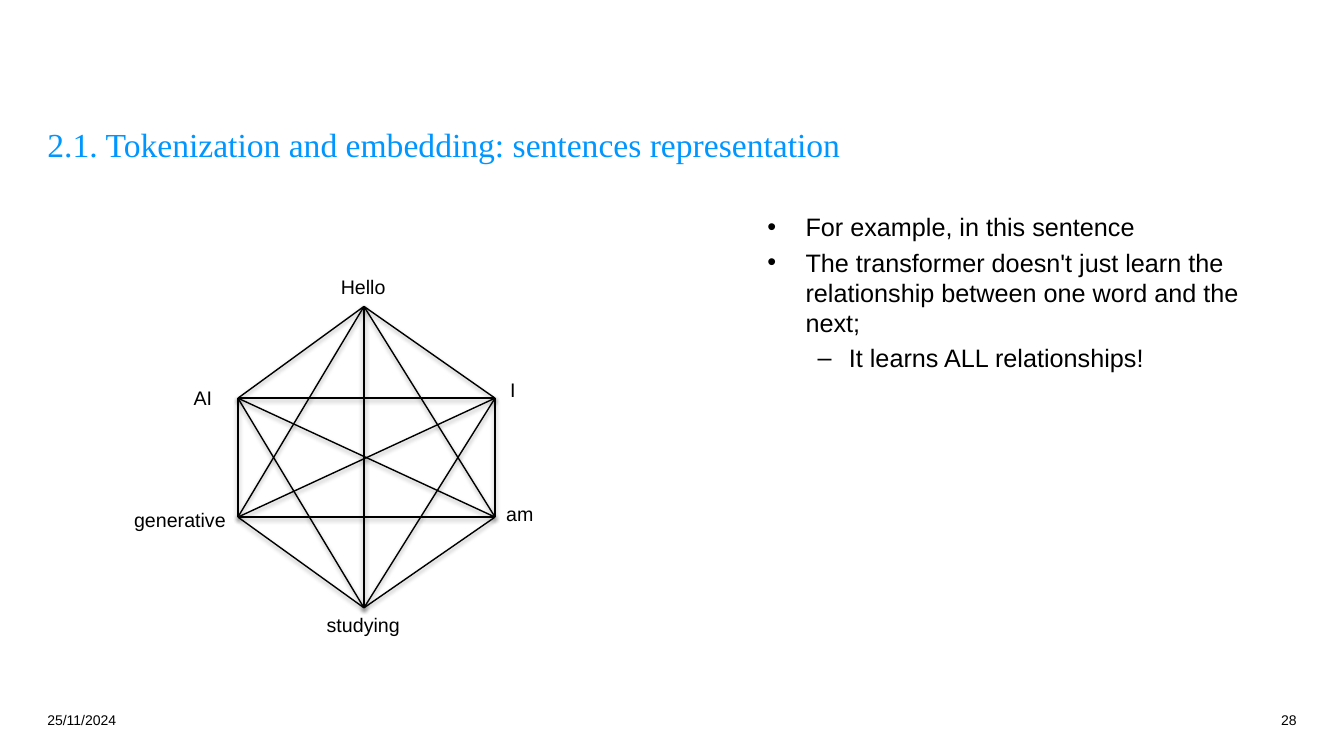
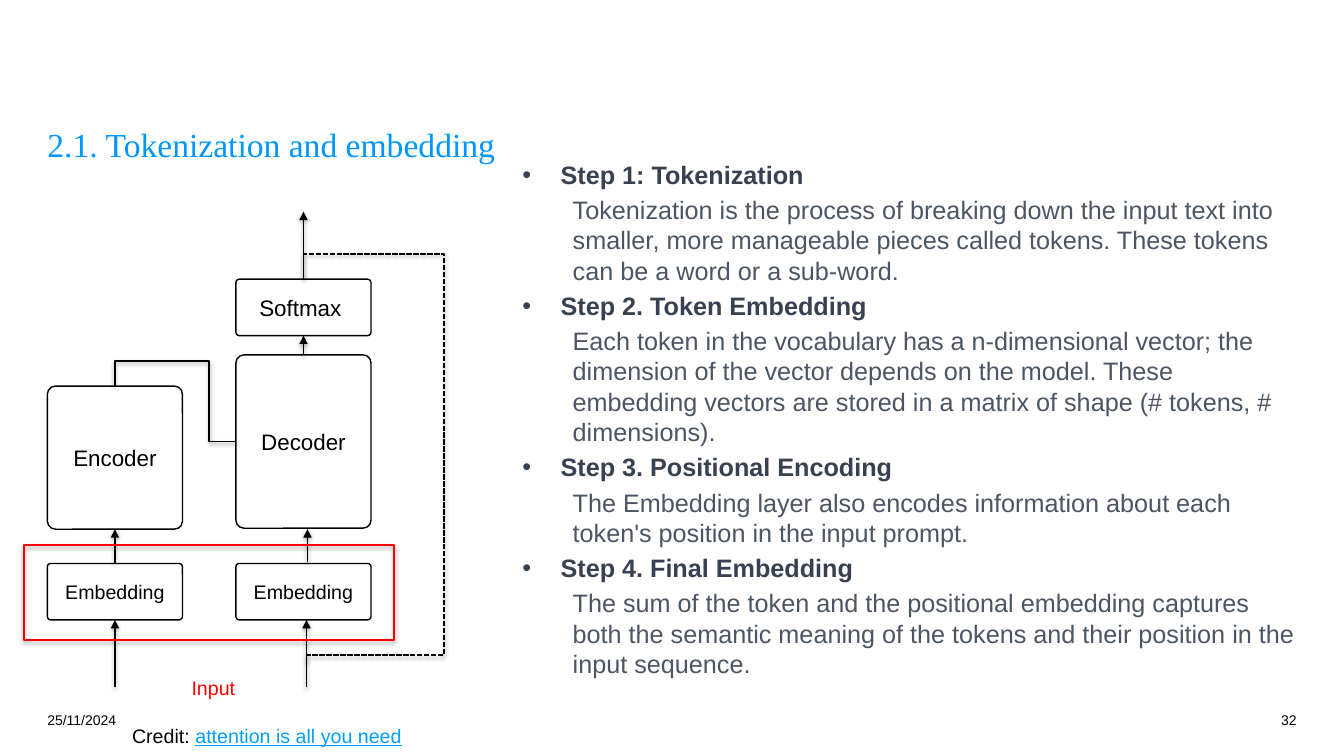
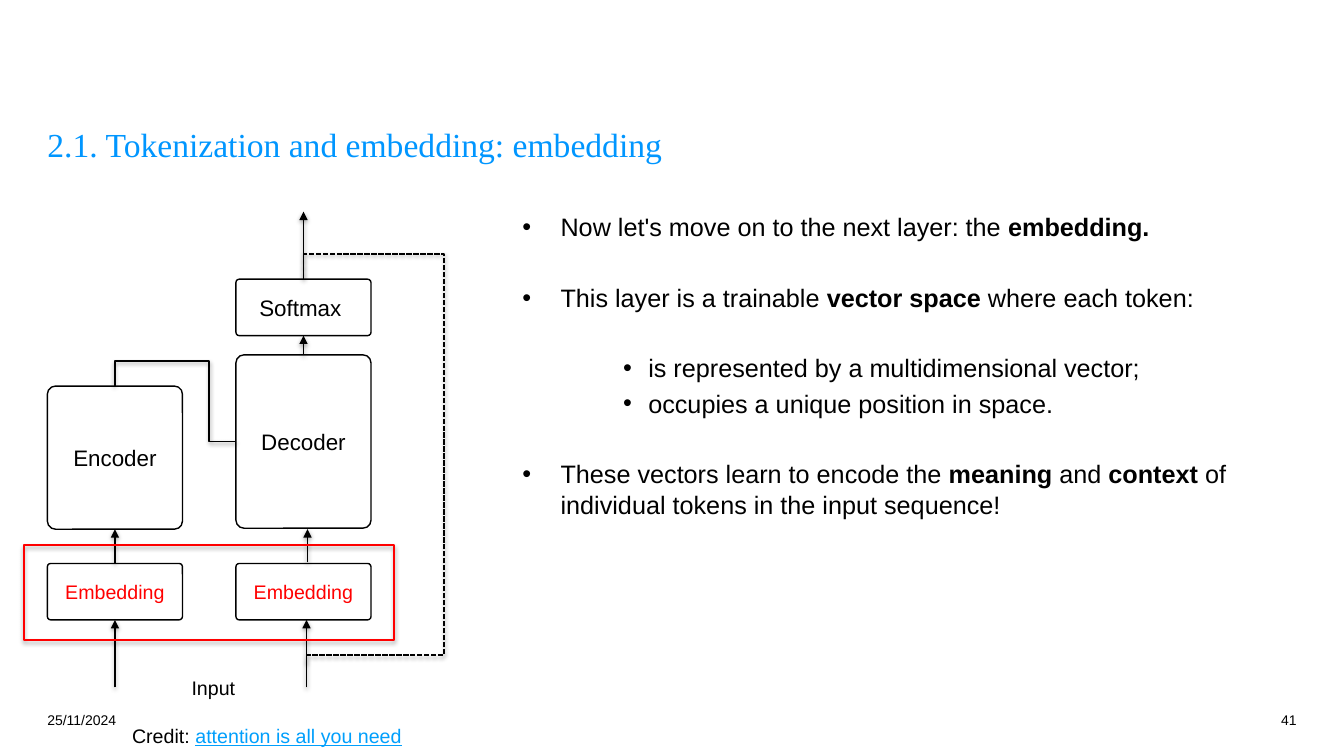
"""Builds three lecture slides on tokenization and embedding."""
from dataclasses import dataclass
from itertools import combinations
from typing import NamedTuple, Optional, Sequence, Tuple

from lxml.etree import SubElement
from pptx import Presentation
from pptx.dml.color import RGBColor
from pptx.enum.dml import MSO_LINE_DASH_STYLE as Dash
from pptx.enum.shapes import MSO_AUTO_SHAPE_TYPE as Preset, MSO_CONNECTOR as Route
from pptx.enum.text import MSO_ANCHOR as Anchor, MSO_AUTO_SIZE as Fit, PP_ALIGN as Align
from pptx.oxml.ns import qn
from pptx.util import Emu, Pt

EMU_PER_PX = 9144
TOP, LEFT, BOTTOM = 0, 1, 2
Point = Tuple[int, int]


@dataclass(frozen=True)
class Theme:
    """Colours, fonts and type sizes of the deck."""
    ink: RGBColor = RGBColor.from_string("000000")
    title: RGBColor = RGBColor.from_string("0096FF")
    link: RGBColor = RGBColor.from_string("009FFC")
    accent: RGBColor = RGBColor.from_string("FF0000")
    step: RGBColor = RGBColor.from_string("374151")
    detail: RGBColor = RGBColor.from_string("4B5563")
    serif: str = "Times New Roman"
    sans: str = "Arial"
    title_size: int = 24
    body_size: int = 18
    block_size: int = 16
    label_size: int = 14
    footer_size: int = 10


THEME = Theme()


class Box(NamedTuple):
    """A rectangle in px."""
    left: int
    top: int
    width: int
    height: int


class Run(NamedTuple):
    """A stretch of text with one format."""
    text: str
    bold: bool = False
    color: Optional[RGBColor] = None
    underline: bool = False


@dataclass(frozen=True)
class Para:
    """A paragraph with its list format."""
    runs: Sequence[Run]
    level: int = 0
    margin: int = 0
    hang: int = 0
    bullet: str = ""
    before: float = 0


class Block(NamedTuple):
    """A rounded block of the model diagram."""
    key: str
    text: str
    box: Box
    size: int


class Arrow(NamedTuple):
    """A straight arrow with the blocks it joins."""
    start: Point
    end: Point
    source: str = ""
    target: str = ""


class Bend(NamedTuple):
    """A bent connector with its frame and bend ratios."""
    preset: str
    frame: Box
    rotation: int
    flip: bool
    ratios: Sequence[float]
    source: str
    target: str
    dashed: bool


class Word(NamedTuple):
    """A word of the sentence, its label and its node."""
    text: str
    label: Box
    node: Point


WORDS = (
    Word("Hello", Box(338, 273, 49, 24), (361, 304)),
    Word("I", Box(506, 375, 9, 24), (491, 395)),
    Word("am", Box(502, 498, 31, 24), (491, 513)),
    Word("studying", Box(324, 608, 77, 24), (361, 603)),
    Word("generative", Box(133, 504, 95, 24), (236, 513)),
    Word("AI", Box(192, 383, 23, 24), (236, 395)),
)
BLOCKS = (
    Block("encoder", "Encoder", Box(47, 383, 134, 142), THEME.block_size),
    Block("decoder", "Decoder", Box(234, 352, 134, 172), THEME.block_size),
    Block("input embedding", "Embedding", Box(47, 559, 134, 56), THEME.label_size),
    Block("output embedding", "Embedding", Box(234, 559, 134, 56), THEME.label_size),
    Block("softmax", "Softmax ", Box(234, 277, 134, 56), THEME.block_size),
)
ARROWS = (
    Arrow((114, 682), (114, 615), target="input embedding"),
    Arrow((304, 682), (304, 615)),
    Arrow((114, 559), (114, 525), "input embedding", "encoder"),
    Arrow((305, 558), (305, 525)),
    Arrow((301, 352), (301, 333), "decoder", "softmax"),
    Arrow((301, 277), (301, 210), "softmax"),
)
BENDS = (
    Bend("bentConnector4", Box(114, 383, 120, 55), 180, False,
         (0.22, 1.45), "decoder", "encoder", False),
    Bend("bentConnector5", Box(112, 466, 381, 3), 270, True,
         (8 / 381, -137 / 3, 406 / 381), "", "softmax", True),
)
STEPS = (
    ("Step 1: Tokenization",
     "Tokenization is the process of breaking down the input text into smaller, more "
     "manageable pieces called tokens. These tokens can be a word or a sub-word."),
    ("Step 2. Token Embedding",
     "Each token in the vocabulary has a n-dimensional vector; the dimension of the vector "
     "depends on the model. These embedding vectors are stored in a matrix of shape "
     "(# tokens, # dimensions)."),
    ("Step 3. Positional Encoding",
     "The Embedding layer also encodes information about each token's position in the "
     "input prompt."),
    ("Step 4. Final Embedding",
     "The sum of the token and the positional embedding captures both the semantic meaning "
     "of the tokens and their position in the input sequence."),
)


def px(length: int) -> Emu:
    """Turn px into EMU."""
    return Emu(length * EMU_PER_PX)


def emus(lengths: Sequence[int]) -> list:
    """Turn several px lengths into EMU."""
    return [px(length) for length in lengths]


def write(frame, paras: Sequence[Para], *, size: int, color: RGBColor = THEME.ink,
          font: str = THEME.sans, align: Align = Align.LEFT) -> None:
    """Write formatted paragraphs into a text frame."""
    for index, para in enumerate(paras):
        line = frame.add_paragraph() if index else frame.paragraphs[0]
        line.alignment, line.level = align, para.level
        line.space_before = Pt(para.before)
        props = line._p.get_or_add_pPr()
        props.set("marL", str(px(para.margin)))
        props.set("indent", str(px(-para.hang)))
        if para.bullet:
            SubElement(props, qn("a:buFont")).set("typeface", THEME.sans)
            SubElement(props, qn("a:buChar")).set("char", para.bullet)
        else:
            SubElement(props, qn("a:buNone"))
        for part in para.runs:
            run = line.add_run()
            run.text = part.text
            run.font.name, run.font.size = font, Pt(size)
            run.font.bold, run.font.underline = part.bold, part.underline
            run.font.color.rgb = part.color or color


def add_text(slide, box: Box, paras: Sequence[Para], *, wrap: bool = True, **style) -> None:
    """Add a text box without insets."""
    frame = slide.shapes.add_textbox(*emus(box)).text_frame
    frame.margin_left = frame.margin_top = frame.margin_right = frame.margin_bottom = 0
    frame.word_wrap = wrap
    frame.auto_size = Fit.NONE if wrap else Fit.SHAPE_TO_FIT_TEXT
    write(frame, paras, **style)


def plain(text: str) -> Sequence[Para]:
    """Make a single unformatted paragraph."""
    return (Para((Run(text),)),)


def add_label(slide, box: Box, paras: Sequence[Para], color: RGBColor = THEME.ink) -> None:
    """Add a diagram label that does not wrap."""
    add_text(slide, box, paras, wrap=False, size=THEME.label_size, color=color)


def add_body(slide, box: Box, paras: Sequence[Para]) -> None:
    """Add the bulleted body."""
    add_text(slide, box, paras, size=THEME.body_size)


def bullet(*runs: Run, before: float = 3.6) -> Para:
    """Make a first-level bullet."""
    return Para(runs, margin=38, hang=38, bullet="•", before=before)


def cast_shadow(shape, alpha: int = 38, distance: int = 20000) -> None:
    """Give a shape a soft shadow below it."""
    props = shape._element.spPr
    effects = props.find(qn("a:effectLst"))
    if effects is None:
        effects = SubElement(props, qn("a:effectLst"))
    shadow = SubElement(effects, qn("a:outerShdw"), blurRad="40000", dist=str(distance),
                        dir="5400000", rotWithShape="0")
    tint = SubElement(shadow, qn("a:srgbClr"), val=str(THEME.ink))
    SubElement(tint, qn("a:alpha"), val=str(alpha * 1000))


def add_line(slide, start: Point, end: Point, *, route: Route = Route.STRAIGHT,
             weight: float = 1, head: bool = False, dashed: bool = False):
    """Add a shadowed connector."""
    line = slide.shapes.add_connector(route, *emus((*start, *end)))
    line.line.color.rgb, line.line.width = THEME.ink, Pt(weight)
    if dashed:
        line.line.dash_style = Dash.SQUARE_DOT
    if head:
        SubElement(line._element.spPr.find(qn("a:ln")), qn("a:tailEnd"), type="triangle")
    cast_shadow(line)
    return line


def add_outline(slide, preset: Preset, box: Box, color: RGBColor, weight: float):
    """Add an unfilled shape."""
    shape = slide.shapes.add_shape(preset, *emus(box))
    shape.shadow.inherit = False
    shape.fill.background()
    shape.line.color.rgb, shape.line.width = color, Pt(weight)
    return shape


def add_bend(slide, bend: Bend, blocks: dict) -> None:
    """Add a bent connector between blocks."""
    left, top, width, height = bend.frame
    line = add_line(slide, (left, top), (left + width, top + height),
                    route=Route.ELBOW, weight=1.25, dashed=bend.dashed)
    if bend.source:
        line.begin_connect(blocks[bend.source], LEFT)
    line.end_connect(blocks[bend.target], TOP)
    line.left, line.top, line.width, line.height = emus(bend.frame)
    transform = line._element.spPr.find(qn("a:xfrm"))
    transform.set("rot", str(bend.rotation * 60000))
    transform.set("flipH", "0")
    transform.set("flipV", str(int(bend.flip)))
    geometry = line._element.spPr.find(qn("a:prstGeom"))
    geometry.set("prst", bend.preset)
    guides = geometry.find(qn("a:avLst"))
    for number, ratio in enumerate(bend.ratios, 1):
        SubElement(guides, qn("a:gd"), name=f"adj{number}", fmla=f"val {round(ratio * 100000)}")


def add_model(slide, *, embedding: RGBColor, caption: RGBColor) -> None:
    """Draw the encoder-decoder diagram."""
    blocks = {}
    for block in BLOCKS:
        shape = add_outline(slide, Preset.ROUNDED_RECTANGLE, block.box, THEME.ink, 1)
        shape.adjustments[0] = 0.06
        shape.text_frame.vertical_anchor = Anchor.MIDDLE
        write(shape.text_frame, plain(block.text), size=block.size, align=Align.CENTER,
              color=embedding if block.text == "Embedding" else THEME.ink)
        blocks[block.key] = shape
    for arrow in ARROWS:
        line = add_line(slide, arrow.start, arrow.end, head=True)
        if arrow.source:
            line.begin_connect(blocks[arrow.source], TOP)
        if arrow.target:
            line.end_connect(blocks[arrow.target], BOTTOM)
    for bend in BENDS:
        add_bend(slide, bend, blocks)
    add_label(slide, Box(190, 671, 47, 24), plain("Input"), caption)
    credit = Run("Credit: "), Run("attention is all you need", color=THEME.link, underline=True)
    add_label(slide, Box(131, 718, 273, 24), (Para(credit),))
    focus = add_outline(slide, Preset.RECTANGLE, Box(24, 541, 367, 94), THEME.accent, 1.5)
    cast_shadow(focus, alpha=35, distance=23000)


def add_page(deck, topic: str, number: int):
    """Add a slide with its title, date and number."""
    slide = deck.slides.add_slide(deck.slide_layouts[6])
    add_text(slide, Box(47, 123, 1239, 79), plain("2.1. Tokenization and embedding" + topic),
             size=THEME.title_size, color=THEME.title, font=THEME.serif)
    add_text(slide, Box(47, 706, 307, 44), plain("25/11/2024"), size=THEME.footer_size)
    add_text(slide, Box(1186, 706, 100, 44), plain(str(number)), size=THEME.footer_size,
             align=Align.RIGHT)
    return slide


def add_sentence_slide(deck) -> None:
    """Add the slide on relations between words."""
    slide = add_page(deck, ": sentences representation", 28)
    for first, second in combinations(WORDS, 2):
        add_line(slide, first.node, second.node)
    for word in WORDS:
        add_label(slide, word.label, plain(word.text))
    add_body(slide, Box(761, 210, 525, 473), (
        bullet(Run("For example, in this sentence"), before=0),
        bullet(Run("The transformer doesn't just learn the relationship between one word "
                   "and the next;")),
        Para((Run("It learns ALL relationships!"),), level=1, margin=81, hang=31,
             bullet="–", before=3.6),
    ))


def add_steps_slide(deck) -> None:
    """Add the slide on the four steps."""
    slide = add_page(deck, "", 32)
    paras = []
    for heading, detail in STEPS:
        paras.append(bullet(Run(heading, True, THEME.step), before=3.6 if paras else 0))
        paras.append(Para((Run(detail, color=THEME.detail),), level=1, margin=50, before=3.6))
    add_body(slide, Box(518, 158, 768, 524), paras)
    add_model(slide, embedding=THEME.ink, caption=THEME.accent)


def add_embedding_slide(deck) -> None:
    """Add the slide on the embedding layer."""
    slide = add_page(deck, ": embedding", 41)
    gap = 28.8
    traits = (("is represented by a multidimensional vector;", gap),
              ("occupies a unique position in space.", 3.6))
    add_body(slide, Box(518, 210, 768, 473), (
        bullet(Run("Now let's move on to the next layer: the "), Run("embedding.", True),
               before=0),
        bullet(Run("This layer is a trainable "), Run("vector space", True),
               Run(" where each token:"), before=gap),
        *(Para((Run(trait),), level=2, margin=125, hang=25, bullet="•", before=before)
          for trait, before in traits),
        bullet(Run("These vectors learn to encode the "), Run("meaning", True), Run(" and "),
               Run("context", True), Run(" of individual tokens in the input sequence!"),
               before=gap),
    ))
    add_model(slide, embedding=THEME.accent, caption=THEME.ink)


def main() -> None:
    """Build and save the deck."""
    deck = Presentation()
    deck.slide_width, deck.slide_height = px(1333), px(750)
    add_sentence_slide(deck)
    add_steps_slide(deck)
    add_embedding_slide(deck)
    deck.save("out.pptx")


if __name__ == "__main__":
    main()
